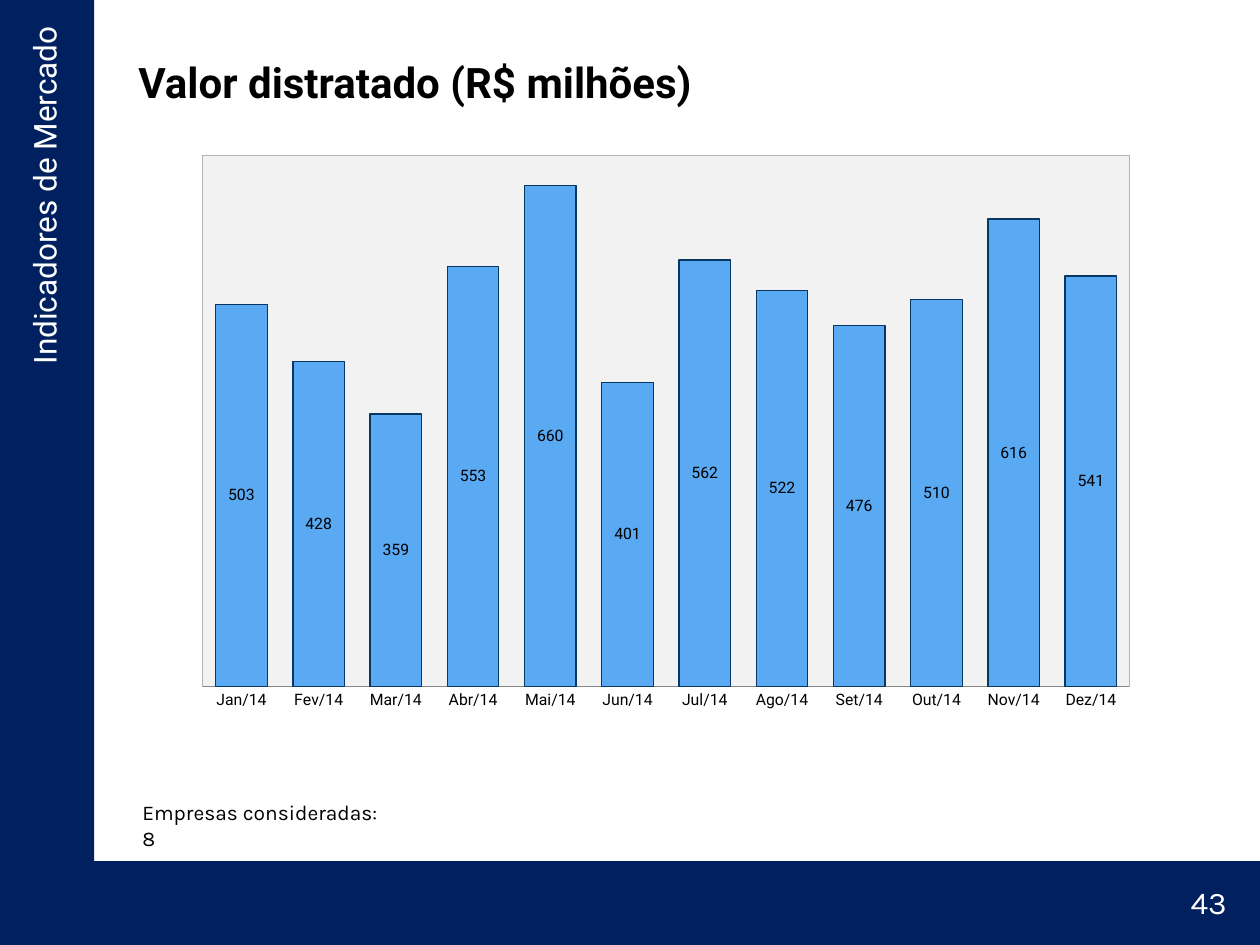
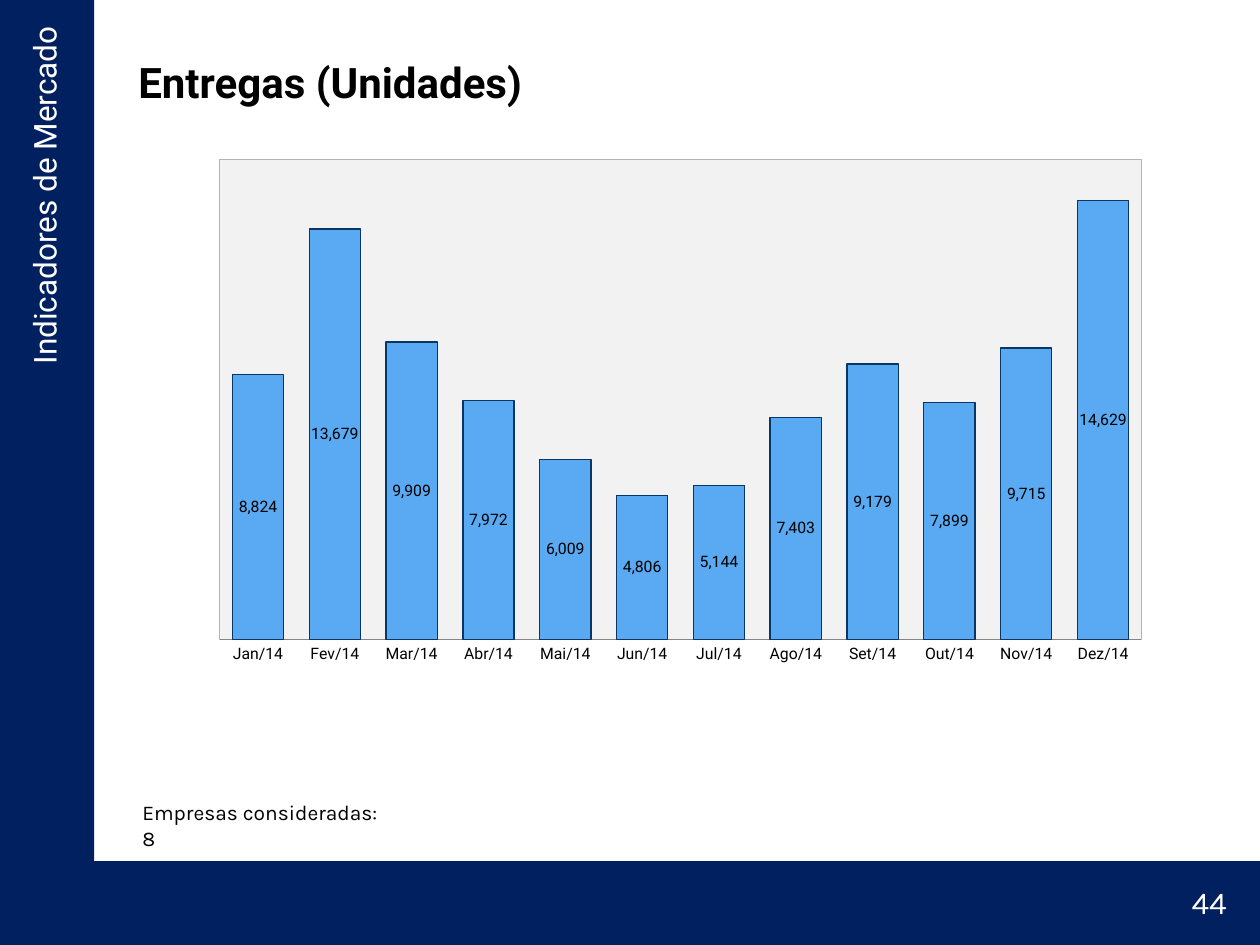
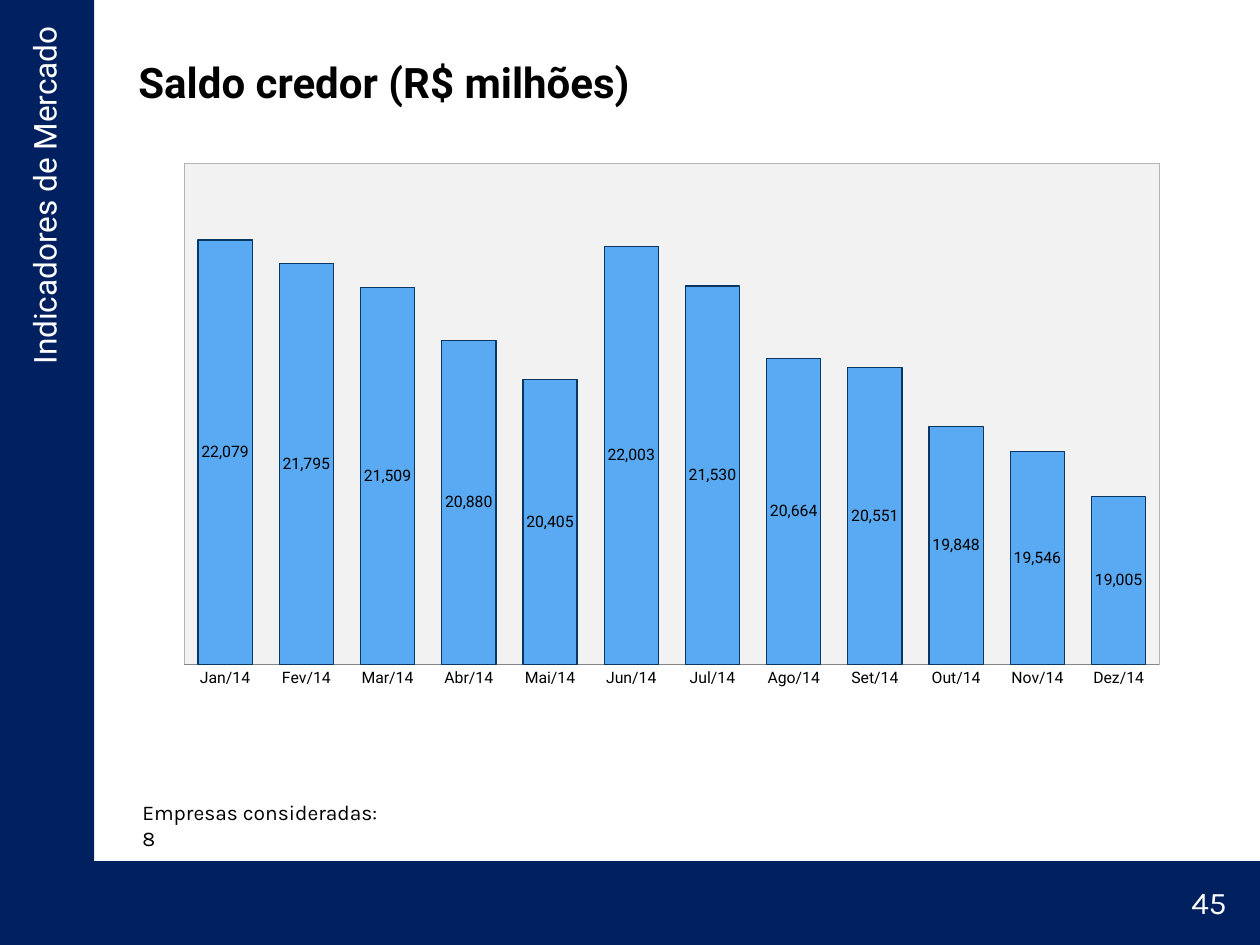
from collections import namedtuple

from lxml import etree
from pptx import Presentation
from pptx import util as u
from pptx.chart import data as chart_data
from pptx.dml import color
from pptx.enum import chart as chart_enum
from pptx.enum import shapes, text
from pptx.oxml import ns

Box = namedtuple("Box", "left top width height")
Indicator = namedtuple("Indicator", "title page box minimum maximum values")

NAVY, WHITE, BLACK = "002060", "FFFFFF", "000000"
BAR_FILLS, BAR_LINE = ("59AAF2", "0B5394"), "083763"
PLOT_FILL, PLOT_LINE, AXIS_LINE = "F2F2F2", "B3B3B3", "868686"
HEADING_FONT, BODY_FONT = "Roboto", "Karla"

PAGE = Box(0, 0, 25.4, 19.05)
SIDE_BAND = Box(0, 0, 1.9, 17.4)
BOTTOM_BAND = Box(0, 17.36, 25.4, 1.69)
TITLE = Box(2.54, 0.76, 21.59, 1.78)
NOTE = Box(2.62, 16, 5.38, 0.76)
PLOT_SHARE = {"x": 0.02, "y": 0.02, "w": 0.96, "h": 0.92}

MONTHS = "Jan Fev Mar Abr Mai Jun Jul Ago Set Out Nov Dez".split()
INDICATORS = [
    Indicator("Valor distratado (R$ milhões)", 43, Box(3.7, 2.9, 19.46, 11.64), 0, 700,
              [503, 428, 359, 553, 660, 401, 562, 522, 476, 510, 616, 541]),
    Indicator("Entregas (Unidades)", 44, Box(4.04, 3, 19.36, 10.53), 0, 16000,
              [8824, 13679, 9909, 7972, 6009, 4806, 5144, 7403, 9179, 7899, 9715, 14629]),
    Indicator("Saldo credor (R$ milhões)", 45, Box(3.31, 3.07, 20.47, 10.98), 17000, 23000,
              [22079, 21795, 21509, 20880, 20405, 22003, 21530, 20664, 20551, 19848, 19546, 19005]),
]


def rgb(value):
    """Turn a hex string into a colour."""
    return color.RGBColor.from_string(value)


def lengths(box):
    """Turn a box in centimetres into lengths."""
    return [u.Cm(side) for side in box]


def set_font(font, name, size, hex_color=BLACK, bold=False):
    """Set the face, size, colour and weight of a font."""
    font.name, font.size, font.bold = name, u.Pt(size), bold
    font.color.rgb = rgb(hex_color)


def set_line(line, hex_color):
    """Draw a thin line in the given colour."""
    line.color.rgb = rgb(hex_color)
    line.width = u.Pt(0.75)


def add_text(slide, box, words, name, size, hex_color=BLACK, bold=False,
             align=text.PP_ALIGN.LEFT, anchor=text.MSO_ANCHOR.TOP):
    """Add a wrapped text box with one paragraph."""
    shape = slide.shapes.add_textbox(*lengths(box))
    frame = shape.text_frame
    frame.text = words
    frame.word_wrap = True
    frame.vertical_anchor = anchor
    paragraph = frame.paragraphs[0]
    paragraph.alignment = align
    set_font(paragraph.runs[0].font, name, size, hex_color, bold)
    return shape


def add_band(slide, box):
    """Add a plain navy band."""
    shape = slide.shapes.add_shape(shapes.MSO_SHAPE.RECTANGLE, *lengths(box))
    shape.shadow.inherit = False
    shape.fill.solid()
    shape.fill.fore_color.rgb = rgb(NAVY)
    shape.line.fill.background()


def add_side_band(slide, box):
    """Add the left band with the section name running upwards."""
    add_band(slide, box)
    length, thickness = 14.73, 1.02
    center_x, center_y = box.left + 0.89, box.top + 0.28 + length / 2
    label_box = Box(center_x - length / 2, center_y - thickness / 2, length, thickness)
    label = add_text(slide, label_box, "Indicadores de Mercado", HEADING_FONT, 18, WHITE,
                     align=text.PP_ALIGN.RIGHT)
    label.rotation = 270


def add_bottom_band(slide, box, page):
    """Add the bottom band with the page number at its right end."""
    add_band(slide, box)
    width = 2.34
    number_box = Box(box.left + box.width - width - 0.42, box.top + 0.32, width, 1.02)
    add_text(slide, number_box, str(page), BODY_FONT, 18, WHITE, align=text.PP_ALIGN.RIGHT)


def format_plot_area(chart):
    """Fix the inner plot position and give it a fill and a border."""
    plot_area = chart.element.xpath("c:chart/c:plotArea")[0]
    for old_layout in plot_area.xpath("c:layout"):
        plot_area.remove(old_layout)
    layout = etree.Element(ns.qn("c:layout"))
    manual = etree.SubElement(layout, ns.qn("c:manualLayout"))
    settings = {"layoutTarget": "inner", "xMode": "edge", "yMode": "edge", **PLOT_SHARE}
    for tag, value in settings.items():
        etree.SubElement(manual, ns.qn(f"c:{tag}")).set("val", str(value))
    plot_area.insert(0, layout)

    properties = etree.SubElement(plot_area, ns.qn("c:spPr"))
    line = etree.Element(ns.qn("a:ln"), w=str(u.Pt(0.75)))
    for parent, hex_color in ((properties, PLOT_FILL), (line, PLOT_LINE)):
        fill = etree.SubElement(parent, ns.qn("a:solidFill"))
        etree.SubElement(fill, ns.qn("a:srgbClr")).set("val", hex_color)
    properties.append(line)


def add_column_chart(slide, indicator):
    """Add the monthly column chart of an indicator."""
    data = chart_data.CategoryChartData(number_format="#,##0")
    data.categories = [f"{month}/14" for month in MONTHS]
    data.add_series("Series 1", indicator.values)
    data.add_series("Series 2", [None] * len(MONTHS))
    frame = slide.shapes.add_chart(chart_enum.XL_CHART_TYPE.COLUMN_STACKED,
                                   *lengths(indicator.box), data)
    chart = frame.chart
    chart.has_title = chart.has_legend = False
    set_font(chart.font, BODY_FONT, 10)
    format_plot_area(chart)

    value_axis = chart.value_axis
    value_axis.minimum_scale = indicator.minimum
    value_axis.maximum_scale = indicator.maximum
    value_axis.has_major_gridlines = False
    value_axis.visible = False

    category_axis = chart.category_axis
    category_axis.major_tick_mark = chart_enum.XL_TICK_MARK.NONE
    set_font(category_axis.tick_labels.font, HEADING_FONT, 9)
    set_line(category_axis.format.line, AXIS_LINE)

    plot = chart.plots[0]
    plot.gap_width, plot.overlap = 50, 100
    plot.vary_by_categories = False
    for series, fill_color in zip(plot.series, BAR_FILLS):
        series.format.fill.solid()
        series.format.fill.fore_color.rgb = rgb(fill_color)
        set_line(series.format.line, BAR_LINE)

    labels = plot.series[0].data_labels
    labels.show_value = True
    labels.position = chart_enum.XL_LABEL_POSITION.CENTER
    labels.number_format = "#,##0"
    labels.number_format_is_linked = False
    set_font(labels.font, HEADING_FONT, 9)


def add_indicator_slide(presentation, indicator):
    """Add one slide with bands, title, chart and note."""
    slide = presentation.slides.add_slide(presentation.slide_layouts[6])
    add_bottom_band(slide, BOTTOM_BAND, indicator.page)
    add_side_band(slide, SIDE_BAND)
    add_text(slide, TITLE, indicator.title, HEADING_FONT, 24, bold=True,
             anchor=text.MSO_ANCHOR.MIDDLE)
    add_text(slide, NOTE, "Empresas consideradas: 8", BODY_FONT, 12)
    add_column_chart(slide, indicator)


def main():
    """Build and save the presentation."""
    presentation = Presentation()
    presentation.slide_width = u.Cm(PAGE.width)
    presentation.slide_height = u.Cm(PAGE.height)
    for indicator in INDICATORS:
        add_indicator_slide(presentation, indicator)
    presentation.save("out.pptx")


if __name__ == "__main__":
    main()
